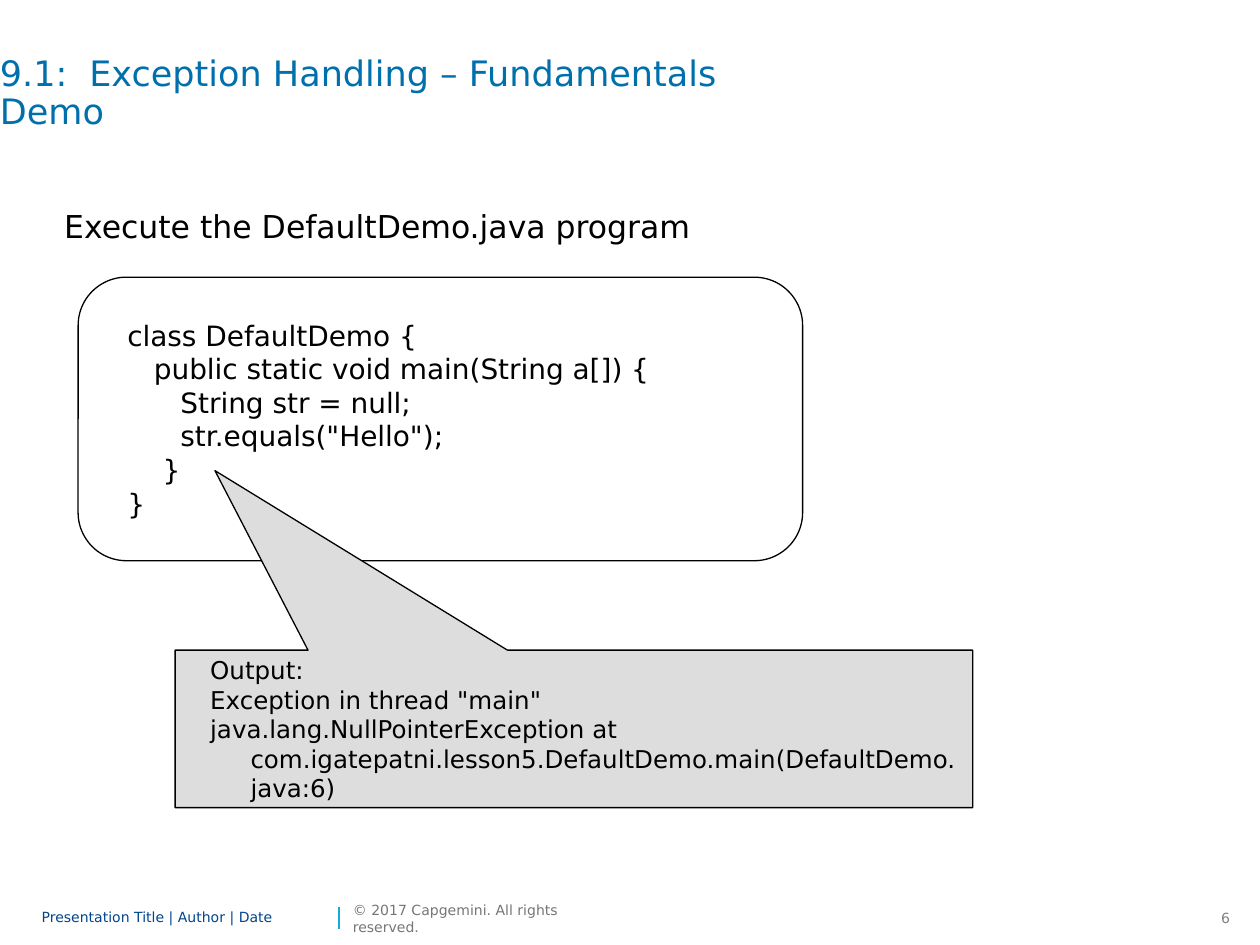
from dataclasses import dataclass
from typing import Any, Optional

from lxml import etree
from pptx import Presentation
from pptx.dml.color import RGBColor
from pptx.enum.shapes import MSO_CONNECTOR, MSO_SHAPE
from pptx.enum.text import MSO_ANCHOR, PP_ALIGN
from pptx.oxml.ns import qn
from pptx.util import Inches, Pt

TOP, MIDDLE = MSO_ANCHOR.TOP, MSO_ANCHOR.MIDDLE
LEFT, RIGHT = PP_ALIGN.LEFT, PP_ALIGN.RIGHT
ROUNDED = MSO_SHAPE.ROUNDED_RECTANGLE
CALLOUT = MSO_SHAPE.RECTANGULAR_CALLOUT
STRAIGHT = MSO_CONNECTOR.STRAIGHT

FONT = "DejaVu Sans"
BLACK = "000000"
NO_INSETS = (0, 0)
SHAPE_INSETS = (0.1, 0.05)
HANGING = (0.5, -0.32)
CODE_TABS = (0.79, 1.58, 2.38, 3.17)


@dataclass
class TextStyle:
    size: float
    color: str = BLACK
    anchor: Any = TOP
    align: Any = LEFT
    insets: tuple[float, float] = NO_INSETS
    wrap: bool = True
    line_spacing: Any = 1.0
    space_after: float = 0
    indent: Optional[tuple[float, float]] = None
    tabs: tuple[float, ...] = ()


@dataclass
class TextBox:
    at: tuple[float, float, float, float]
    lines: list[str]
    style: TextStyle


@dataclass
class Panel(TextBox):
    preset: Any
    adjustments: tuple[float, ...]
    fill: Optional[str] = None


def rgb(value: str) -> RGBColor:
    return RGBColor.from_string(value)


def set_indent_and_tabs(paragraph, style: TextStyle) -> None:
    properties = paragraph._p.get_or_add_pPr()
    if style.indent:
        for name, length in zip(("marL", "indent"), style.indent):
            properties.set(name, str(Inches(length)))
    if style.tabs:
        tab_list = etree.SubElement(properties, qn("a:tabLst"))
        for position in style.tabs:
            etree.SubElement(tab_list, qn("a:tab"), pos=str(Inches(position)), algn="l")


def write_text(frame, lines: list[str], style: TextStyle) -> None:
    side, edge = map(Inches, style.insets)
    frame_format = {
        "margin_left": side, "margin_right": side,
        "margin_top": edge, "margin_bottom": edge,
        "word_wrap": style.wrap, "vertical_anchor": style.anchor,
    }
    for name, value in frame_format.items():
        setattr(frame, name, value)

    paragraph_format = {
        "alignment": style.align,
        "line_spacing": style.line_spacing,
        "space_after": Pt(style.space_after),
    }
    frame.text = "\n".join(lines)
    for paragraph in frame.paragraphs:
        for name, value in paragraph_format.items():
            setattr(paragraph, name, value)
        set_indent_and_tabs(paragraph, style)
        for run in paragraph.runs:
            run.font.name = FONT
            run.font.size = Pt(style.size)
            run.font.color.rgb = rgb(style.color)


def draw_text_box(slide, box: TextBox) -> None:
    shape = slide.shapes.add_textbox(*map(Inches, box.at))
    write_text(shape.text_frame, box.lines, box.style)


def draw_panel(slide, panel: Panel) -> None:
    shape = slide.shapes.add_shape(panel.preset, *map(Inches, panel.at))
    shape.shadow.inherit = False
    for index, value in enumerate(panel.adjustments):
        shape.adjustments[index] = value
    if panel.fill:
        shape.fill.solid()
        shape.fill.fore_color.rgb = rgb(panel.fill)
    else:
        shape.fill.background()
    shape.line.color.rgb = rgb(BLACK)
    shape.line.width = Pt(0.75)
    write_text(shape.text_frame, panel.lines, panel.style)


def draw_separator(slide, x: float, top: float, bottom: float) -> None:
    line = slide.shapes.add_connector(
        STRAIGHT, Inches(x), Inches(bottom), Inches(x), Inches(top))
    line.line.color.rgb = rgb("12ABDB")
    line.line.width = Pt(1)
    etree.SubElement(line._element.spPr, qn("a:effectLst"))


def code_style(size: float, wrap: bool) -> TextStyle:
    return TextStyle(size, anchor=MIDDLE, insets=SHAPE_INSETS, wrap=wrap,
                     indent=HANGING, tabs=CODE_TABS)


FOOTER = [
    TextBox((9.47, 7.17, 0.39, 0.24), ["6"],
            TextStyle(8, "808080", align=RIGHT, insets=SHAPE_INSETS, wrap=False)),
    TextBox((0.33, 7.17, 2.32, 0.24), ["Presentation Title | Author | Date"],
            TextStyle(8, "00458D", MIDDLE, line_spacing=0.85)),
    TextBox((2.8, 7.17, 1.82, 0.24), ["© 2017 Capgemini. All rights reserved."],
            TextStyle(8, "767676", MIDDLE, wrap=False)),
]

HEADINGS = [
    TextBox((0, 0.45, 9.33, 0.94),
            ["9.1:\tException Handling – Fundamentals\vDemo"],
            TextStyle(20, "0070AD", line_spacing=0.9, tabs=(0.71,))),
    TextBox((0.51, 1.64, 8.58, 5.08), ["Execute the DefaultDemo.java program"],
            TextStyle(18, line_spacing=Pt(22), space_after=6)),
]

PROGRAM = Panel(
    (0.62, 2.2, 5.75, 2.25),
    [
        "class DefaultDemo {",
        "   public static void main(String a[]) {",
        "      String str = null;",
        '      str.equals("Hello");',
        "    }",
        "}",
    ],
    code_style(16, wrap=False), ROUNDED, (0.17,))

OUTPUT = Panel(
    (1.39, 5.16, 6.33, 1.25),
    [
        "Output:",
        'Exception in thread "main"',
        "java.lang.NullPointerException at "
        "com.igatepatni.lesson5.DefaultDemo.main(DefaultDemo.java:6)",
    ],
    code_style(14, wrap=True), CALLOUT, (-0.45, -1.64), "DDDDDD")


def main() -> None:
    deck = Presentation()
    deck.slide_width, deck.slide_height = Inches(10), Inches(7.5)
    slide = deck.slides.add_slide(deck.slide_layouts[6])

    # Footer
    draw_separator(slide, 2.69, 7.2, 7.37)
    for box in FOOTER:
        draw_text_box(slide, box)

    # Title and instruction
    for box in HEADINGS:
        draw_text_box(slide, box)

    # Program and its output
    for panel in (PROGRAM, OUTPUT):
        draw_panel(slide, panel)

    deck.save("out.pptx")


if __name__ == "__main__":
    main()
